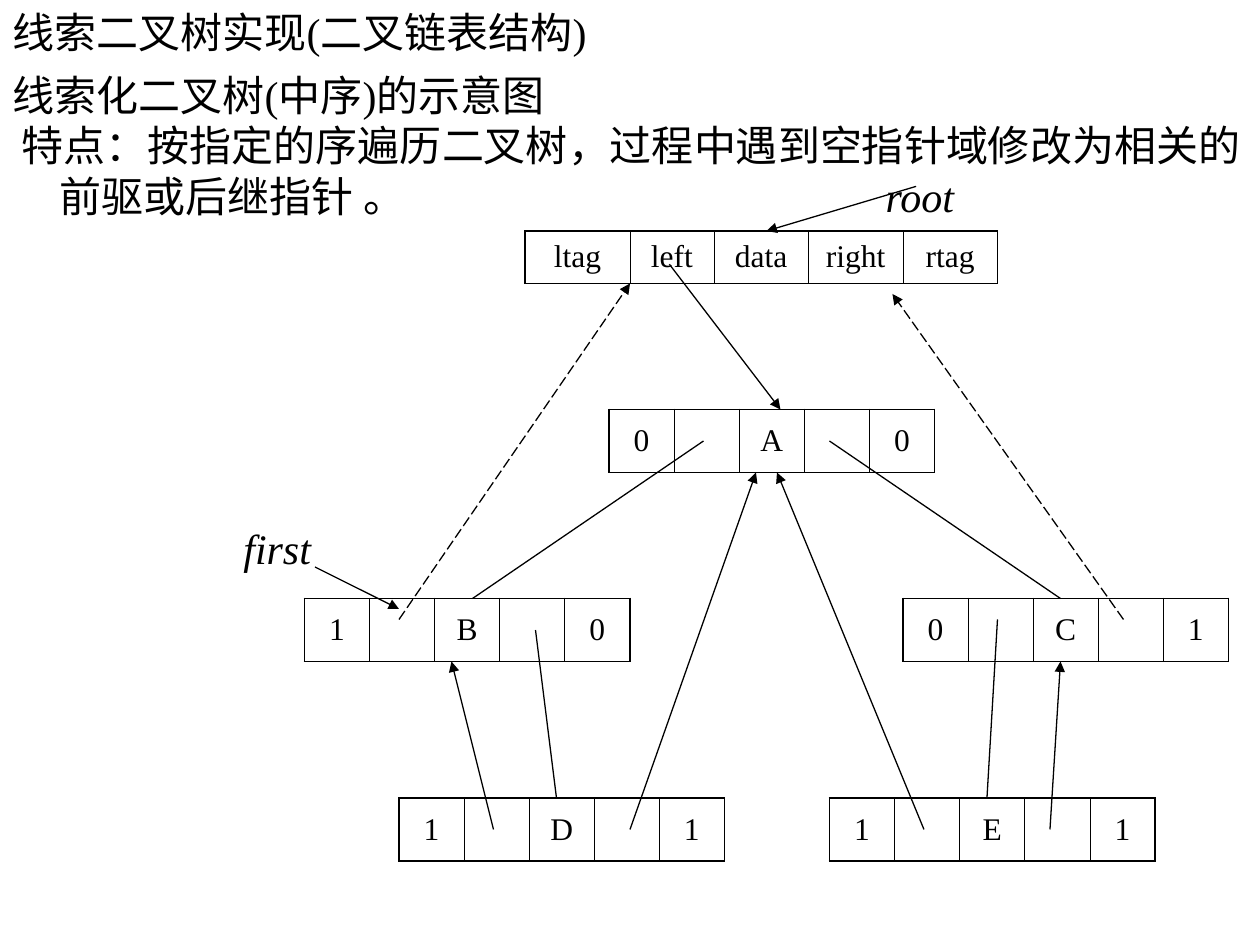
import dataclasses

import lxml.etree
import pptx
import pptx.dml.color
import pptx.enum.dml
import pptx.enum.shapes
import pptx.enum.text
import pptx.oxml.ns
import pptx.util

Pt = pptx.util.Pt
qn = pptx.oxml.ns.qn
ANCHOR = pptx.enum.text.MSO_ANCHOR
ALIGN = pptx.enum.text.PP_ALIGN


@dataclasses.dataclass(frozen=True)
class Theme:
    ink: pptx.dml.color.RGBColor = pptx.dml.color.RGBColor(0, 0, 0)
    font: str = "Times New Roman"
    text_size: float = 24
    cell_size: float = 18
    line_width: float = 0.75
    outer_border: float = 1.08
    inner_border: float = 0.45


THEME = Theme()
NODE_WIDTH, NODE_HEIGHT = 186, 36
HEADER_COLUMNS = [("ltag", 60), ("left", 48), ("data", 54), ("right", 54), ("rtag", 54)]
NODES = [
    ("A", 348, 234, "0", "0"),
    ("C", 516, 342, "0", "1"),
    ("B", 174, 342, "1", "0"),
    ("E", 474, 456, "1", "1"),
    ("D", 228, 456, "1", "1"),
]
CHILD_LINKS = [
    (402, 252, 270, 342),
    (474, 252, 606, 342),
    (306, 360, 318, 456),
    (570, 354, 564, 456),
]
THREADS = [
    (282, 474, 258, 378),
    (360, 474, 432, 270),
    (528, 474, 444, 270),
    (600, 474, 606, 378),
]
POINTERS = [
    (382.5, 151, 446, 234),
    (180, 324, 228, 342 + 6),
    (523.5, 106.5, 438, 132),
]
HEADER_THREADS = [(228, 354, 360, 162), (642, 354, 510, 168)]


def place(shape, left, top, width, height):
    shape.left, shape.top = Pt(left), Pt(top)
    shape.width, shape.height = Pt(width), Pt(height)


def format_paragraph(paragraph, size, alignment=ALIGN.LEFT, italic=False):
    paragraph.alignment = alignment
    paragraph.space_before = Pt(0)
    paragraph.font.size = Pt(size)
    for run in paragraph.runs:
        run.font.name = THEME.font
        run.font.size = Pt(size)
        run.font.italic = italic
        run.font.color.rgb = THEME.ink


def add_title(slide, text):
    title = slide.shapes.title
    place(title, 0, 0, 612, 36)
    frame = title.text_frame
    frame.text = text
    frame.auto_size = pptx.enum.text.MSO_AUTO_SIZE.NONE
    frame.vertical_anchor = ANCHOR.MIDDLE
    format_paragraph(frame.paragraphs[0], THEME.text_size)


def add_body(slide, lines):
    body = slide.placeholders[1]
    place(body, 0, 36, 720, 486)
    frame = body.text_frame
    frame.text = "\n".join(lines)
    frame.auto_size = pptx.enum.text.MSO_AUTO_SIZE.NONE
    for paragraph in frame.paragraphs:
        properties = paragraph._p.get_or_add_pPr()
        properties.set("marL", str(Pt(27)))
        properties.set("indent", str(Pt(-27)))
        lxml.etree.SubElement(properties, qn("a:buNone"))
        format_paragraph(paragraph, THEME.text_size)


def add_label(slide, text, left, top):
    label = slide.shapes.add_textbox(Pt(left), Pt(top), Pt(72), Pt(36))
    frame = label.text_frame
    frame.word_wrap = True
    frame.vertical_anchor = ANCHOR.MIDDLE
    frame.text = text
    format_paragraph(frame.paragraphs[0], THEME.text_size, italic=True)


def add_border(cell, side, width):
    properties = cell._tc.get_or_add_tcPr()
    border = lxml.etree.SubElement(properties, qn(f"a:ln{side}"), w=str(Pt(width)))
    fill = lxml.etree.SubElement(border, qn("a:solidFill"))
    lxml.etree.SubElement(fill, qn("a:srgbClr"), val=str(THEME.ink))


def add_record(slide, left, top, height, columns):
    total = sum(width for _, width in columns)
    frame = slide.shapes.add_table(1, len(columns), Pt(left), Pt(top), Pt(total), Pt(height))
    table = frame.table
    table.first_row = table.horz_banding = False
    last = len(columns) - 1
    for index, (text, width) in enumerate(columns):
        table.columns[index].width = Pt(width)
        cell = table.cell(0, index)
        cell.text = text
        cell.vertical_anchor = ANCHOR.MIDDLE
        format_paragraph(cell.text_frame.paragraphs[0], THEME.cell_size, ALIGN.CENTER)
        add_border(cell, "L", THEME.outer_border if index == 0 else THEME.inner_border)
        add_border(cell, "R", THEME.outer_border if index == last else THEME.inner_border)
        add_border(cell, "T", THEME.outer_border)
        add_border(cell, "B", THEME.outer_border)
        cell.fill.background()


def add_node(slide, name, left, top, left_tag, right_tag):
    fields = [left_tag, "", name, "", right_tag]
    columns = [(field, NODE_WIDTH / len(fields)) for field in fields]
    add_record(slide, left, top, NODE_HEIGHT, columns)


def add_link(slide, ends, arrow=True, dashed=False):
    connector = slide.shapes.add_connector(
        pptx.enum.shapes.MSO_CONNECTOR.STRAIGHT, *(Pt(value) for value in ends)
    )
    connector.line.color.rgb = THEME.ink
    connector.line.width = Pt(THEME.line_width)
    if dashed:
        connector.line.dash_style = pptx.enum.dml.MSO_LINE.LONG_DASH
    properties = connector.element.spPr
    if arrow:
        lxml.etree.SubElement(properties.find(qn("a:ln")), qn("a:tailEnd"), type="triangle")
    lxml.etree.SubElement(properties, qn("a:effectLst"))


def main():
    presentation = pptx.Presentation()
    presentation.slide_width, presentation.slide_height = Pt(720), Pt(540)
    slide = presentation.slides.add_slide(presentation.slide_layouts[1])
    add_title(slide, "线索二叉树实现(二叉链表结构)")
    add_body(slide, [
        "线索化二叉树(中序)的示意图",
        " 特点：按指定的序遍历二叉树，过程中遇到空指针域修改为相关的前驱或后继指针 。",
    ])
    add_label(slide, "root", 499, 94)
    add_label(slide, "first", 132, 295)
    add_record(slide, 300, 132, 30, HEADER_COLUMNS)
    for node in NODES:
        add_node(slide, *node)
    for ends in CHILD_LINKS:
        add_link(slide, ends, arrow=False)
    for ends in THREADS + POINTERS:
        add_link(slide, ends)
    for ends in HEADER_THREADS:
        add_link(slide, ends, dashed=True)
    presentation.save("out.pptx")


if __name__ == "__main__":
    main()
